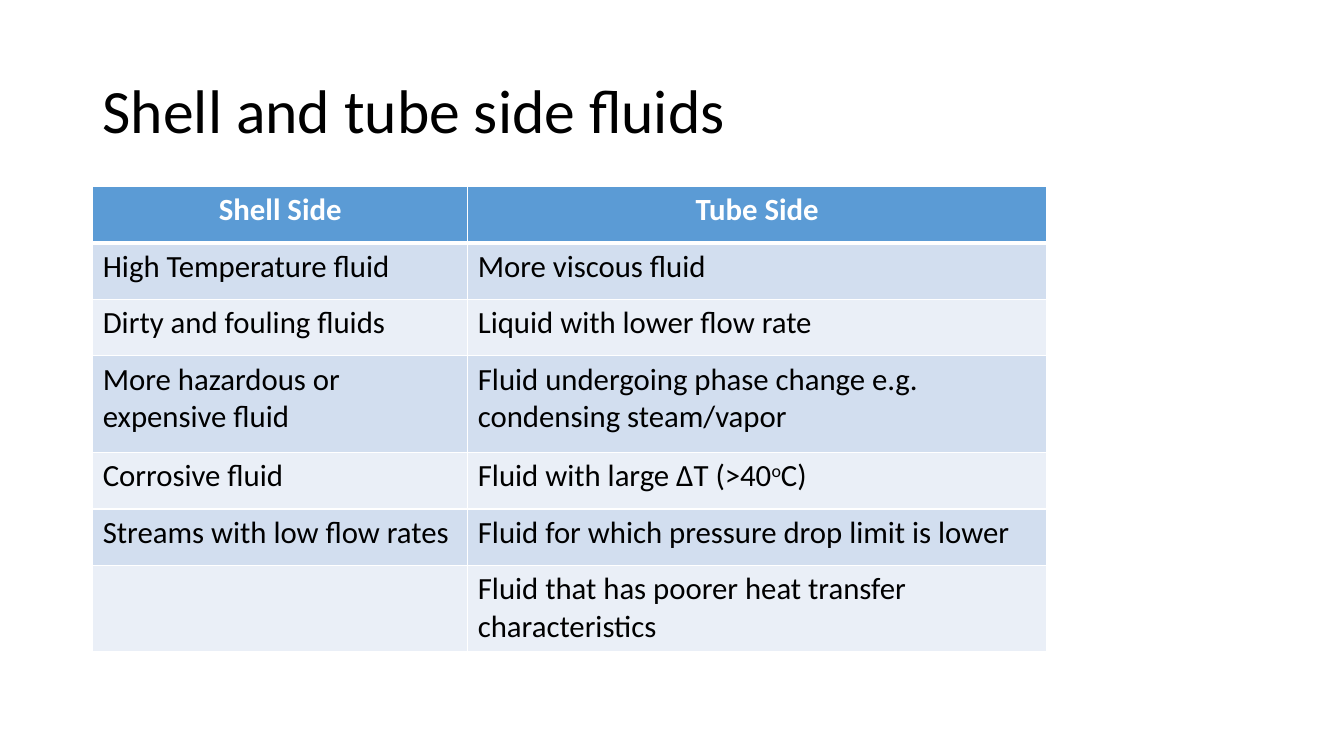
"""Build the slide that compares shell side and tube side fluids."""
from lxml.etree import SubElement
from pptx import Presentation
from pptx.dml.color import RGBColor
from pptx.enum.text import MSO_ANCHOR as Anchor, PP_ALIGN as Align
from pptx.oxml.ns import qn
from pptx.util import Emu, Pt

PX = 9144
FONT = "Calibri"
BLACK = RGBColor(0x00, 0x00, 0x00)
WHITE = RGBColor(0xFF, 0xFF, 0xFF)
HEADER_BLUE = RGBColor(0x5B, 0x9B, 0xD5)
BANDS = (RGBColor(0xEA, 0xEF, 0xF7), RGBColor(0xD2, 0xDE, 0xEF))

COLUMN_WIDTHS = (372, 574)
ROW_HEIGHTS = (56, 56, 56, 96, 56, 56, 86)
FLUIDS = (
    ("Shell Side", "Tube Side"),
    ("High Temperature fluid", "More viscous fluid"),
    ("Dirty and fouling fluids", "Liquid with lower flow rate"),
    ("More hazardous or expensive fluid",
     "Fluid undergoing phase change e.g. condensing steam/vapor"),
    ("Corrosive fluid", ("Fluid with large ∆T (>40", "o", "C)")),
    ("Streams with low flow rates",
     "Fluid for which pressure drop limit is lower"),
    ("", "Fluid that has poorer heat transfer characteristics"),
)


def px(length):
    """Turn a length in px into EMU."""
    return Emu(length * PX)


def write(frame, text, size=22, color=BLACK, bold=False, align=Align.LEFT,
          spacing=None):
    """Write text; in a tuple, every second part is superscript."""
    paragraph = frame.paragraphs[0]
    paragraph.alignment = align
    paragraph.line_spacing = spacing
    parts = (text,) if isinstance(text, str) else text
    for index, part in enumerate(parts):
        run = paragraph.add_run()
        run.text = part
        run.font.name = FONT
        run.font.size = Pt(size)
        run.font.bold = bold
        run.font.color.rgb = color
        if index % 2:
            run.font._element.set("baseline", "30000")


def add_title(slide, text):
    """Add the slide title."""
    title = slide.shapes.add_textbox(px(92), px(40), px(1150), px(145))
    title.text_frame.word_wrap = True
    title.text_frame.vertical_anchor = Anchor.MIDDLE
    write(title.text_frame, text, size=44, spacing=0.9)


def add_borders(cell, top, bottom):
    """Draw white cell borders, with top and bottom widths in points."""
    properties = cell._tc.get_or_add_tcPr()
    for side, width in (("L", 1), ("R", 1), ("T", top), ("B", bottom)):
        line = SubElement(properties, qn(f"a:ln{side}"), w=str(Pt(width)))
        fill = SubElement(line, qn("a:solidFill"))
        SubElement(fill, qn("a:srgbClr"), val=str(WHITE))


def add_fluid_table(slide):
    """Add the banded table of fluids."""
    table = slide.shapes.add_table(
        len(ROW_HEIGHTS), len(COLUMN_WIDTHS), px(92), px(185),
        px(sum(COLUMN_WIDTHS)), px(sum(ROW_HEIGHTS))).table
    for column, width in zip(table.columns, COLUMN_WIDTHS):
        column.width = px(width)
    for index, (row, height, texts) in enumerate(
            zip(table.rows, ROW_HEIGHTS, FLUIDS)):
        row.height = px(height)
        header = index == 0
        for cell, text in zip(row.cells, texts):
            add_borders(cell, top=3 if index == 1 else 1,
                        bottom=3 if header else 1)
            cell.fill.solid()
            cell.fill.fore_color.rgb = (
                HEADER_BLUE if header else BANDS[index % 2])
            if text:
                write(cell.text_frame, text, bold=header,
                      color=WHITE if header else BLACK,
                      align=Align.CENTER if header else Align.LEFT)


def main():
    """Build and save the slide."""
    deck = Presentation()
    deck.slide_width, deck.slide_height = px(1333), px(750)
    slide = deck.slides.add_slide(deck.slide_layouts[6])
    add_title(slide, "Shell and tube side fluids")
    add_fluid_table(slide)
    deck.save("out.pptx")


if __name__ == "__main__":
    main()
